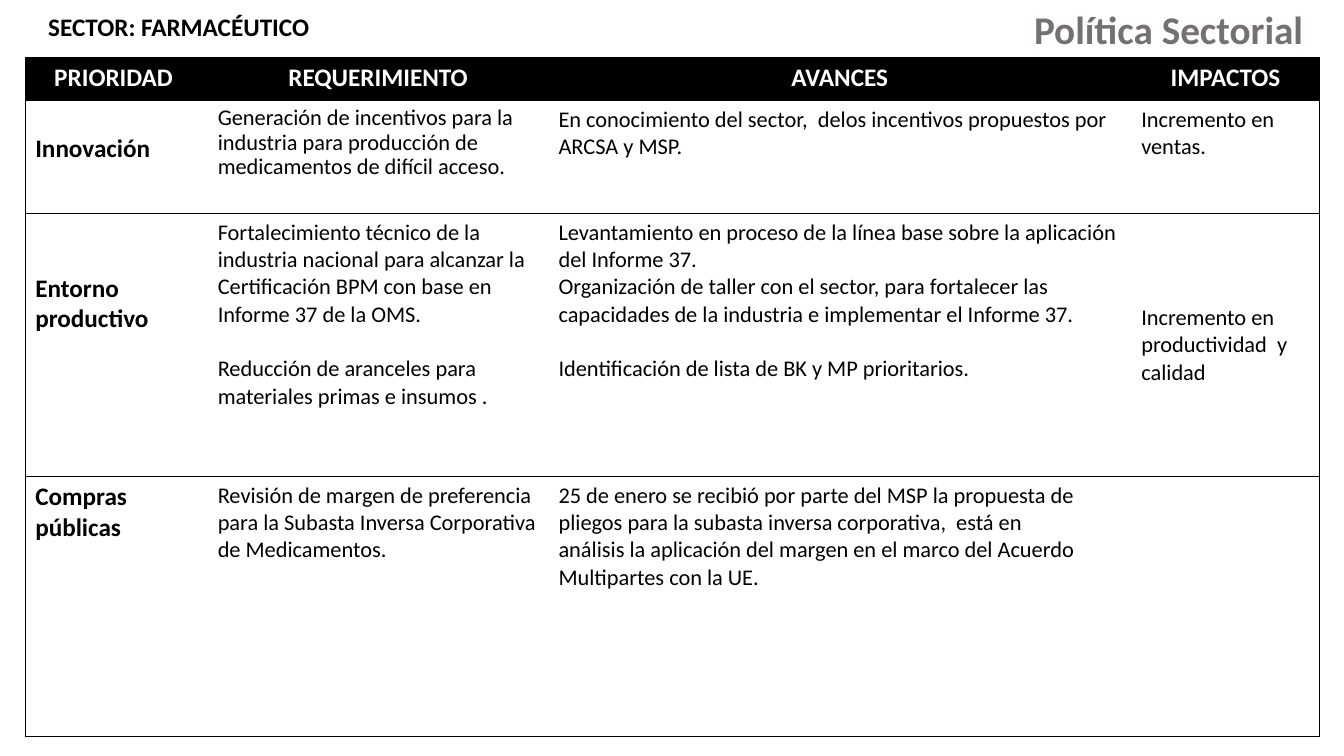
from dataclasses import dataclass

import pptx
import pptx.dml.color
import pptx.enum.text
import pptx.oxml
import pptx.oxml.ns
import pptx.util

EMU_PER_PX = 9144  # 100 px to the inch
FONT = "Calibri"
COLORS = {"black": "000000", "white": "FFFFFF", "gray": "767171"}
ALIGN = pptx.enum.text.PP_ALIGN
ANCHOR = pptx.enum.text.MSO_ANCHOR

COLUMN_WIDTHS = [181, 338, 578, 187]
ROW_HEIGHTS = [43, 112, 261, 258]
HEADERS = ["PRIORIDAD ", "REQUERIMIENTO", "AVANCES", "IMPACTOS"]
LINE_GAP = 19.5  # points, one line of body text
HANGING = 31


@dataclass
class Priority:
    name: str
    requirements: list[str]
    advances: list[str]
    impact: str
    name_top: int = 5
    requirement_spacing: float = 1.0
    gap_before_advance: int = -1
    impact_anchor: ANCHOR = ANCHOR.TOP


PRIORITIES = [
    Priority(
        "Innovación",
        ["Generación de incentivos para la industria para producción de "
         "medicamentos de difícil acceso."],
        ["En conocimiento del sector,  delos incentivos propuestos por",
         "ARCSA y MSP."],
        "Incremento en ventas.",
        name_top=32, requirement_spacing=0.9,
    ),
    Priority(
        "Entorno productivo",
        ["Fortalecimiento técnico de la industria nacional para alcanzar la "
         "Certificación BPM con base en Informe 37 de la OMS.",
         "Reducción de aranceles para materiales primas e insumos ."],
        ["Levantamiento en proceso de la línea base sobre la aplicación",
         "del Informe 37.",
         "Organización de taller con el sector, para fortalecer las",
         "capacidades de la industria e implementar el Informe 37.",
         "Identificación de lista de BK y MP prioritarios."],
        "Incremento en productividad  y calidad",
        name_top=59, gap_before_advance=4, impact_anchor=ANCHOR.MIDDLE,
    ),
    Priority(
        "Compras públicas",
        ["Revisión de margen de preferencia para la Subasta Inversa "
         "Corporativa de Medicamentos."],
        ["25 de enero se recibió por parte del MSP la propuesta de",
         "pliegos para la subasta inversa corporativa,  está en",
         "análisis la aplicación del margen en el marco del Acuerdo",
         "Multipartes con la UE."],
        "",
    ),
]


def px(value: int) -> pptx.util.Emu:
    return pptx.util.Emu(value * EMU_PER_PX)


def write_text(text_frame, lines: list[str], *, size: int = 16,
               color: str = "black", bold: bool = False, align=ALIGN.LEFT,
               line_spacing: float = 1.0, hanging: int = 0,
               gap_before: int = -1) -> None:
    """Write one paragraph per line, with a blank-line gap before one of them."""
    text_frame.word_wrap = True
    for index, line in enumerate(lines):
        paragraph = text_frame.paragraphs[0] if index == 0 else text_frame.add_paragraph()
        paragraph.alignment = align
        paragraph.line_spacing = line_spacing
        if index and index == gap_before:
            paragraph.space_before = pptx.util.Pt(LINE_GAP)
        if hanging:
            properties = paragraph._p.get_or_add_pPr()
            properties.set("marL", str(px(hanging)))
            properties.set("indent", str(-px(hanging)))
        run = paragraph.add_run()
        run.text = line
        run.font.name = FONT
        run.font.size = pptx.util.Pt(size)
        run.font.bold = bold
        run.font.color.rgb = pptx.dml.color.RGBColor.from_string(COLORS[color])


def add_label(slide, left: int, top: int, width: int, height: int,
              text: str, **text_format) -> None:
    box = slide.shapes.add_textbox(px(left), px(top), px(width), px(height))
    write_text(box.text_frame, [text], **text_format)


def set_borders(cell, row: int, column: int) -> None:
    """Rule every row edge and the outer sides; leave inner columns unruled."""
    last_row, last_column = len(ROW_HEIGHTS), len(COLUMN_WIDTHS) - 1

    def edge_width(edge: int) -> float:
        heavy = edge == last_row or (edge > 1 and column < 2)
        return 1 if heavy else 0.5

    widths = {
        "lnL": 0.5 if column == 0 else 0,
        "lnR": 0.5 if column == last_column else 0,
        "lnT": edge_width(row),
        "lnB": edge_width(row + 1),
    }
    properties = cell._tc.get_or_add_tcPr()
    namespace = pptx.oxml.ns.nsdecls("a")
    for position, (tag, width) in enumerate(widths.items()):
        fill = (f'<a:solidFill><a:srgbClr val="{COLORS["black"]}"/></a:solidFill>'
                if width else "<a:noFill/>")
        line = pptx.oxml.parse_xml(
            f'<a:{tag} {namespace} w="{pptx.util.Pt(width)}">{fill}</a:{tag}>')
        properties.insert(position, line)


def add_priority_table(slide) -> None:
    table = slide.shapes.add_table(
        len(ROW_HEIGHTS), len(COLUMN_WIDTHS), px(25), px(57),
        px(sum(COLUMN_WIDTHS)), px(sum(ROW_HEIGHTS))).table
    table.horz_banding = False
    for column, width in zip(table.columns, COLUMN_WIDTHS):
        column.width = px(width)
    for row, height in zip(table.rows, ROW_HEIGHTS):
        row.height = px(height)

    # Fills and borders
    for row in range(len(ROW_HEIGHTS)):
        for column in range(len(COLUMN_WIDTHS)):
            cell = table.cell(row, column)
            cell.fill.solid()
            cell.fill.fore_color.rgb = pptx.dml.color.RGBColor.from_string(
                COLORS["white" if row else "black"])
            set_borders(cell, row, column)

    # Header
    for column, header in enumerate(HEADERS):
        write_text(table.cell(0, column).text_frame, [header], size=18,
                   color="white", bold=True, align=ALIGN.CENTER)

    # Priorities
    for row, priority in enumerate(PRIORITIES, start=1):
        name, requirement, advance, impact = (
            table.cell(row, column) for column in range(len(COLUMN_WIDTHS)))
        name.margin_top = px(priority.name_top)
        write_text(name.text_frame, [priority.name], size=18, bold=True)
        write_text(requirement.text_frame, priority.requirements,
                   line_spacing=priority.requirement_spacing, gap_before=1)
        write_text(advance.text_frame, priority.advances, hanging=HANGING,
                   gap_before=priority.gap_before_advance)
        if priority.impact:
            impact.vertical_anchor = priority.impact_anchor
            write_text(impact.text_frame, [priority.impact])


def main() -> None:
    presentation = pptx.Presentation()
    presentation.slide_width, presentation.slide_height = px(1333), px(750)
    slide = presentation.slides.add_slide(presentation.slide_layouts[6])
    add_priority_table(slide)
    add_label(slide, 38, 6, 478, 40, "SECTOR: FARMACÉUTICO", size=18, bold=True)
    add_label(slide, 880, 0, 431, 57, "Política Sectorial ", size=28,
              color="gray", bold=True, align=ALIGN.RIGHT)
    presentation.save("out.pptx")


if __name__ == "__main__":
    main()
